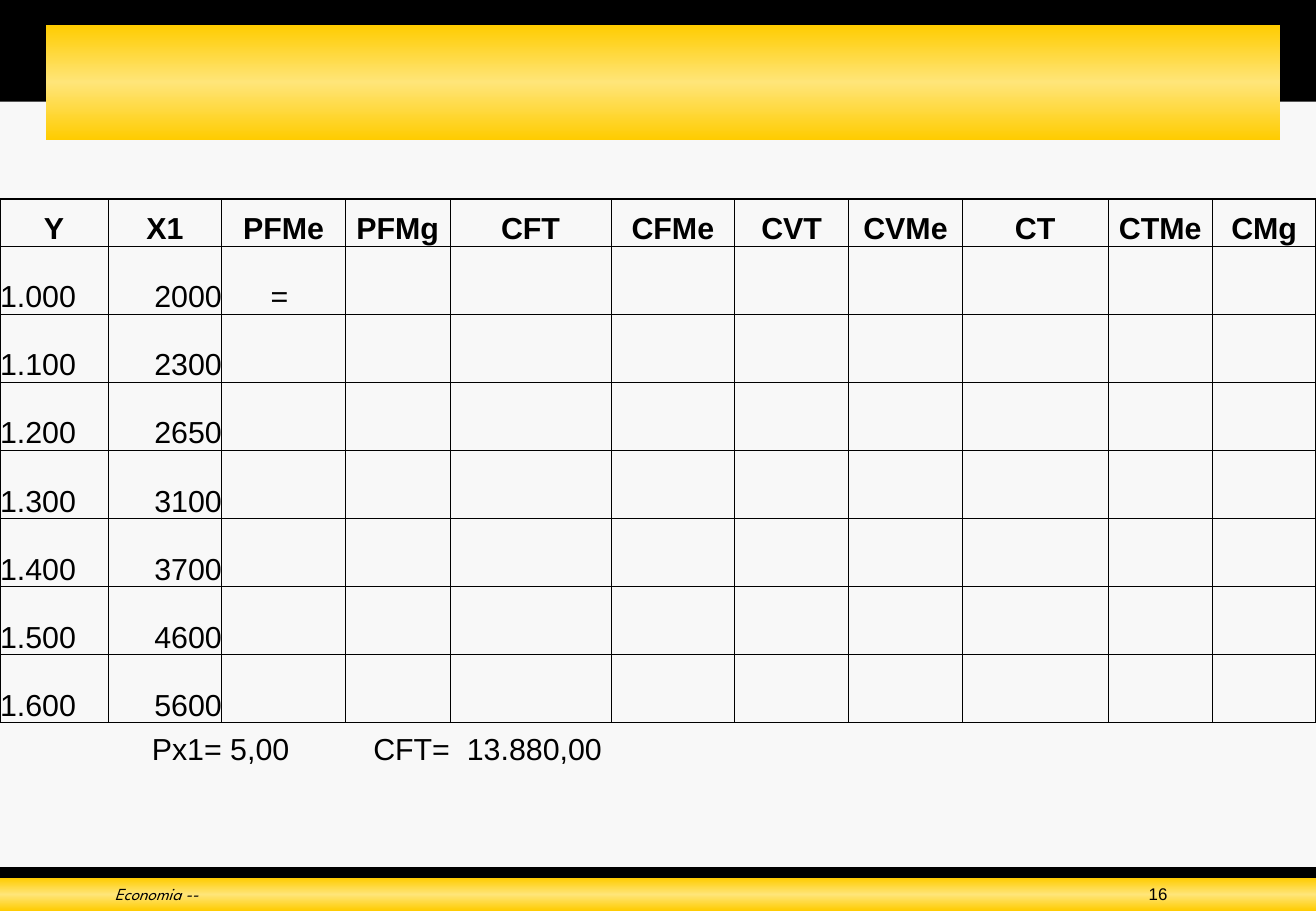
from copy import deepcopy

from lxml.etree import SubElement
from pptx import Presentation
from pptx.dml.color import RGBColor
from pptx.enum.shapes import MSO_SHAPE
from pptx.enum.text import MSO_ANCHOR, PP_ALIGN
from pptx.oxml.ns import qn
from pptx.util import Pt

PAGE_WIDTH, PAGE_HEIGHT = 780, 540
BLACK, GOLD, LIGHT_GOLD, PAPER = "000000", "FFCC00", "FFE579", "F8F8F8"
PLAIN_TABLE_STYLE = "{2D5ABB26-0587-4C30-8999-92F81FD0307C}"
LEFT, CENTER, RIGHT = PP_ALIGN.LEFT, PP_ALIGN.CENTER, PP_ALIGN.RIGHT

COLUMN_WIDTHS = [64, 67.5, 73.25, 62, 95.5, 73.25, 67.5, 67.5, 86.25, 62, 61.25]
HEADINGS = ["Y", "X1", "PFMe", "PFMg", "CFT", "CFMe", "CVT", "CVMe", "CT", "CTMe", "CMg"]
PRODUCTION = [
    ("1.000", "2000"), ("1.100", "2300"), ("1.200", "2650"), ("1.300", "3100"),
    ("1.400", "3700"), ("1.500", "4600"), ("1.600", "5600"),
]
HEADING_HEIGHT, DATA_HEIGHT, NOTE_HEIGHT = 28, 40.35, 26.5


def color(value):
    return RGBColor.from_string(value)


class SlideBuilder:
    def __init__(self, page, font="Arial"):
        self.page = page
        self.font = font

    def background(self, value):
        fill = self.page.background.fill
        fill.solid()
        fill.fore_color.rgb = color(value)

    def bar(self, left, top, width, height, edge, middle=None):
        """Draw a plain bar, or one that shades from edge to middle and back."""
        bar = self.page.shapes.add_shape(
            MSO_SHAPE.RECTANGLE, Pt(left), Pt(top), Pt(width), Pt(height))
        bar.shadow.inherit = False
        bar.line.fill.background()
        if middle is None:
            bar.fill.solid()
            bar.fill.fore_color.rgb = color(edge)
            return
        bar.fill.gradient()
        bar.fill.gradient_angle = 90
        stop_list = bar.element.spPr.find(qn("a:gradFill")).find(qn("a:gsLst"))
        stop_list.insert(1, deepcopy(stop_list[0]))
        for stop, position, value in zip(
                bar.fill.gradient_stops, (0, 0.5, 1), (edge, middle, edge)):
            stop.position = position
            stop.color.rgb = color(value)

    def add_span(self, frame, text, size, align=LEFT, font=None, bold=False, italic=False):
        para = frame.paragraphs[0]
        para.alignment = align
        span = para.add_run()
        span.text = text
        span.font.name = font or self.font
        span.font.size = Pt(size)
        span.font.bold = bold
        span.font.italic = italic
        span.font.color.rgb = color(BLACK)

    def text(self, left, top, width, height, text, size, **style):
        box = self.page.shapes.add_textbox(Pt(left), Pt(top), Pt(width), Pt(height))
        frame = box.text_frame
        frame.word_wrap = True
        frame.vertical_anchor = MSO_ANCHOR.MIDDLE
        self.add_span(frame, text, size, **style)

    def table(self, left, top, widths, heights):
        holder = self.page.shapes.add_table(
            len(heights), len(widths), Pt(left), Pt(top), Pt(sum(widths)), Pt(sum(heights)))
        table = holder.table
        table.first_row = table.horz_banding = False
        table._tbl.tblPr.find(qn("a:tableStyleId")).text = PLAIN_TABLE_STYLE
        for column, width in zip(table.columns, widths):
            column.width = Pt(width)
        for row, height in zip(table.rows, heights):
            row.height = Pt(height)
        return table

    def cell(self, cell, text, align, borders, bold=False, indent=0, right=0):
        cell.margin_top = cell.margin_bottom = 0
        cell.margin_left, cell.margin_right = Pt(indent), Pt(right)
        cell.vertical_anchor = MSO_ANCHOR.BOTTOM
        properties = cell._tc.get_or_add_tcPr()
        for side, width in borders.items():
            line = SubElement(properties, qn(f"a:ln{side}"), w=str(Pt(width)))
            line_fill = SubElement(line, qn("a:solidFill"))
            SubElement(line_fill, qn("a:srgbClr"), val=BLACK)
        cell.fill.background()
        if text:
            self.add_span(cell.text_frame, text, 18, align, bold=bold)


def cost_table(builder):
    heights = [HEADING_HEIGHT] + [DATA_HEIGHT] * len(PRODUCTION) + [NOTE_HEIGHT]
    table = builder.table(0, 118, COLUMN_WIDTHS, heights)
    last_column, last_data, note_row = len(HEADINGS) - 1, len(PRODUCTION), len(PRODUCTION) + 1

    # Headings and data, with a heavier outer frame
    entries = [HEADINGS] + [list(pair) for pair in PRODUCTION]
    entries[1].append("=")
    for row, values in enumerate(entries):
        for column in range(len(HEADINGS)):
            borders = {
                "L": 1 if column == 0 else 0.5,
                "R": 1 if column == last_column else 0.5,
                "T": 1 if row <= 1 else 0.5,
                "B": 1 if row in (0, last_data) else 0.5,
            }
            text = values[column] if column < len(values) else ""
            align = CENTER if row == 0 else (LEFT, RIGHT, CENTER)[min(column, 2)]
            builder.cell(table.cell(row, column), text, align, borders,
                         bold=row == 0, right=5 if text == "=" else 0)

    # Price and fixed cost under the grid
    notes = {1: ("Px1=", RIGHT, 0), 2: ("5,00", LEFT, 5),
             3: ("CFT=", RIGHT, 0), 4: ("13.880,00", LEFT, 10)}
    for column in range(len(HEADINGS)):
        text, align, indent = notes.get(column, ("", LEFT, 0))
        builder.cell(table.cell(note_row, column), text, align, {"T": 1}, indent=indent)


def main():
    deck = Presentation()
    deck.slide_width, deck.slide_height = Pt(PAGE_WIDTH), Pt(PAGE_HEIGHT)
    builder = SlideBuilder(deck.slides.add_slide(deck.slide_layouts[6]))
    builder.background(PAPER)

    # Header and footer bars
    builder.bar(0, 0, PAGE_WIDTH, 60.25, BLACK)
    builder.bar(27.25, 14.75, 731.5, 68.25, GOLD, LIGHT_GOLD)
    builder.bar(0, 514, PAGE_WIDTH, 26, BLACK)
    builder.bar(0, 520.5, PAGE_WIDTH, 19.5, GOLD, LIGHT_GOLD)

    # Footer text
    builder.text(61, 520, 448, 20, "Economia --", 10, font="League Spartan", italic=True)
    builder.text(617, 520, 82, 20, "16", 10, align=RIGHT)

    # Cost table
    cost_table(builder)
    deck.save("out.pptx")


if __name__ == "__main__":
    main()
